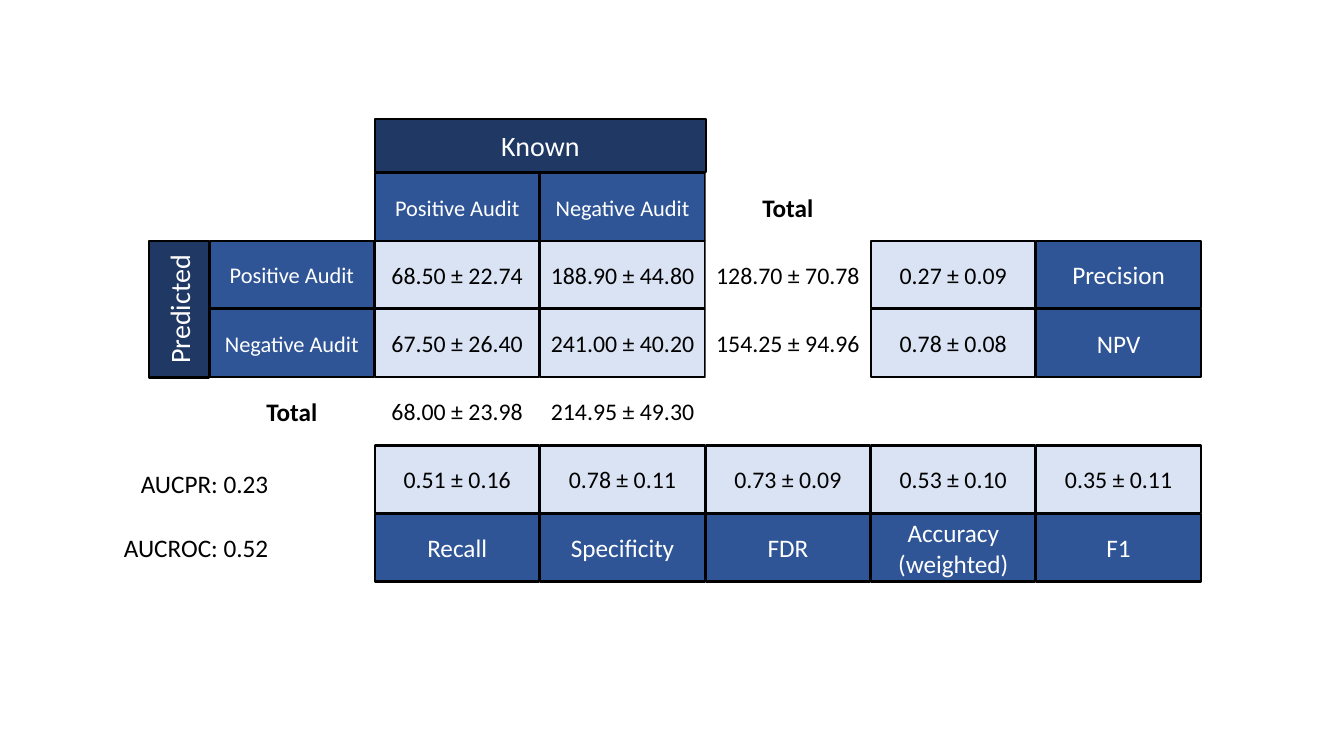
from pptx import Presentation
from pptx import util as u
from pptx.dml.color import RGBColor
from pptx.enum import shapes, text

NAVY = RGBColor(0x20, 0x38, 0x64)
BLUE = RGBColor(0x2F, 0x55, 0x97)
PALE = RGBColor(0xDA, 0xE3, 0xF3)
WHITE = RGBColor(0xFF, 0xFF, 0xFF)
BLACK = RGBColor(0x00, 0x00, 0x00)

STYLES = {
    "banner": (NAVY, True, WHITE, {"size": u.Pt(20)}),
    "class": (BLUE, True, WHITE, {"size": u.Pt(16)}),
    "metric": (BLUE, True, WHITE, {"size": u.Pt(18)}),
    "value": (PALE, True, BLACK, {"size": u.Pt(17)}),
    "sum": (WHITE, False, BLACK, {"size": u.Pt(17)}),
    "total": (WHITE, False, BLACK, {"size": u.Pt(18), "bold": True}),
    "note": (WHITE, False, BLACK, {"size": u.Pt(18)}),
}

GRID_LEFT, COLUMN_PITCH, CELL_WIDTH = 2.08, 1.64, 1.63
CELL_HEIGHT, TOTAL_HEIGHT = 0.67, 0.6
HEADER_TOP, POSITIVE_TOP, NEGATIVE_TOP = 1.72, 2.39, 3.07
TOTAL_TOP, SCORE_TOP, METRIC_TOP = 3.78, 4.42, 5.1

CLASSES = ["Positive Audit", "Negative Audit"]

ROWS = [
    (HEADER_TOP, 1, "class", CLASSES),
    (HEADER_TOP, 3, "total", ["Total"]),
    (POSITIVE_TOP, 0, "class", CLASSES[:1]),
    (POSITIVE_TOP, 1, "value", ["68.50 ± 22.74", "188.90 ± 44.80"]),
    (POSITIVE_TOP, 3, "sum", ["128.70 ± 70.78"]),
    (POSITIVE_TOP, 4, "value", ["0.27 ± 0.09"]),
    (POSITIVE_TOP, 5, "metric", ["Precision"]),
    (NEGATIVE_TOP, 0, "class", CLASSES[1:]),
    (NEGATIVE_TOP, 1, "value", ["67.50 ± 26.40", "241.00 ± 40.20"]),
    (NEGATIVE_TOP, 3, "sum", ["154.25 ± 94.96"]),
    (NEGATIVE_TOP, 4, "value", ["0.78 ± 0.08"]),
    (NEGATIVE_TOP, 5, "metric", ["NPV"]),
    (TOTAL_TOP, 0, "total", ["Total"]),
    (TOTAL_TOP, 1, "sum", ["68.00 ± 23.98", "214.95 ± 49.30"]),
    (SCORE_TOP, 1, "value", ["0.51 ± 0.16", "0.78 ± 0.11", "0.73 ± 0.09",
                             "0.53 ± 0.10", "0.35 ± 0.11"]),
    (METRIC_TOP, 1, "metric", ["Recall", "Specificity", "FDR",
                               "Accuracy\n(weighted)", "F1"]),
]


class MatrixSlide:
    def __init__(self, presentation, styles):
        self.slide = presentation.slides.add_slide(presentation.slide_layouts[6])
        self.styles = styles

    def box(self, label, left, top, width, height, style, rotation=0):
        fill, outlined, color, font = self.styles[style]
        shape = self.slide.shapes.add_shape(
            shapes.MSO_SHAPE.RECTANGLE,
            *map(u.Inches, (left, top, width, height)))
        shape.shadow.inherit = False
        shape.rotation = rotation
        shape.fill.solid()
        shape.fill.fore_color.rgb = fill
        if outlined:
            shape.line.color.rgb = BLACK
            shape.line.width = u.Pt(1.5)
        else:
            shape.line.fill.background()
        frame = shape.text_frame
        frame_format = {
            "text": label,
            "word_wrap": True,
            "vertical_anchor": text.MSO_ANCHOR.MIDDLE,
            "margin_left": u.Inches(0.05),
            "margin_right": u.Inches(0.05),
        }
        for name, value in frame_format.items():
            setattr(frame, name, value)
        for paragraph in frame.paragraphs:
            paragraph.alignment = text.PP_ALIGN.CENTER
            for name, value in {"name": "Calibri", **font}.items():
                setattr(paragraph.font, name, value)
            paragraph.font.color.rgb = color

    def row(self, top, first_column, style, labels):
        height = TOTAL_HEIGHT if top == TOTAL_TOP else CELL_HEIGHT
        for column, label in enumerate(labels, first_column):
            left = GRID_LEFT + column * COLUMN_PITCH
            self.box(label, left, top, CELL_WIDTH, height, style)


def main():
    presentation = Presentation()
    presentation.slide_width = u.Inches(13.33)
    presentation.slide_height = u.Inches(7.5)
    matrix = MatrixSlide(presentation, STYLES)
    matrix.box("Known", 3.72, 1.18, 3.28, 0.53, "banner")
    for row in ROWS:
        matrix.row(*row)
    matrix.box("Predicted", 1.1, 2.77, 1.35, 0.6, "banner", rotation=270)
    matrix.box("AUCPR: 0.23", 1.05, 4.46, 1.96, CELL_HEIGHT, "note")
    matrix.box("AUCROC: 0.52", 1.05, METRIC_TOP, 1.79, CELL_HEIGHT, "note")
    presentation.save("out.pptx")


if __name__ == "__main__":
    main()
